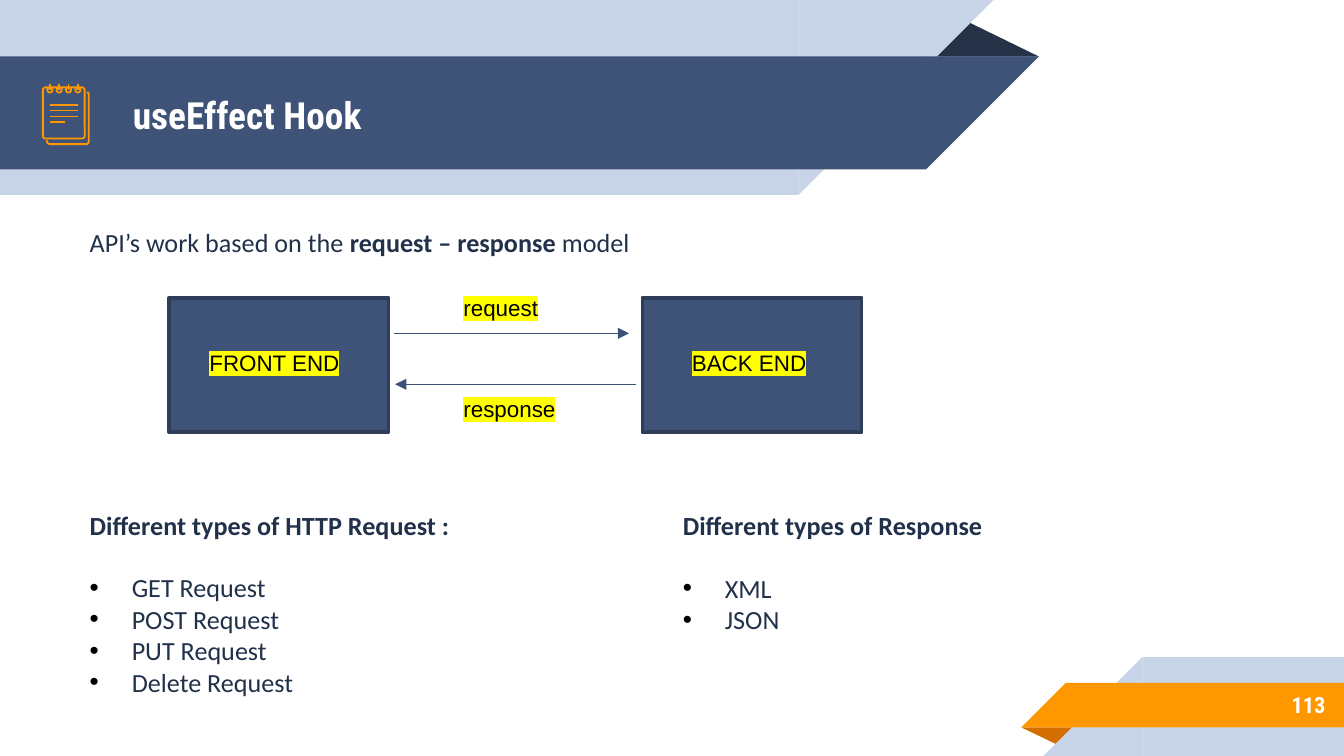
from lxml.etree import SubElement
from pptx import Presentation
from pptx.dml.color import RGBColor
from pptx.enum.shapes import MSO_CONNECTOR as Link, MSO_SHAPE as Preset
from pptx.enum.text import MSO_ANCHOR as Anchor, PP_ALIGN as Align
from pptx.oxml import parse_xml
from pptx.oxml.ns import nsdecls, qn
from pptx.util import Pt

# Content
TITLE = "useEffect Hook"
PAGE_NUMBER = "113"
INTRO = [("API’s work based on the ", False), ("request – response ", True), ("model", False)]
TYPE_LISTS = [  # left, width, heading, items
    (41, 300, "Different types of HTTP Request :",
     ["GET Request", "POST Request", "PUT Request", "Delete Request"]),
    (358.7, 300, "Different types of Response", ["XML", "JSON"]),
]
END_BOXES = [90.7, 344.2]  # left edges
LABELS = [  # text, left, top
    ("request", 241.2, 154.1), ("response", 241.2, 208.1),
    ("FRONT END", 105.1, 183.6), ("BACK END", 363.6, 183.6),
]
ARROWS = [(211, 337, 178.6), (340.6, 211.7, 205.9)]  # from x, to x, y


class Theme:
    navy, pale, dark = "3F5378", "C7D3E6", "263248"
    orange, rust = "FF9800", "D26F00"
    box_edge, arrow, ink = "2F3D59", "3C5177", "21314A"
    white, black, marker = "FFFFFF", "000000", "FFFF00"
    heading, body, label = "Roboto Condensed", "Calibri", "Arial"
    title_size, body_size, small_size = 20, 14, 12
    pitch = 16.8


TITLE_STYLE = dict(name=Theme.heading, size=Pt(Theme.title_size), bold=True, color=Theme.white)
NUMBER_STYLE = dict(TITLE_STYLE, size=Pt(Theme.small_size))
BODY_STYLE = dict(name=Theme.body, size=Pt(Theme.body_size), bold=False, color=Theme.ink)
LABEL_STYLE = dict(name=Theme.label, size=Pt(Theme.small_size), color=Theme.black)

deck = Presentation()
deck.slide_width, deck.slide_height = Pt(720), Pt(405)
slide = deck.slides.add_slide(deck.slide_layouts[6])
shapes = slide.shapes


def rgb(value):
    return RGBColor.from_string(value)


def paint(shape, fill=None, line=None, width=1.0):
    shape.shadow.inherit = False
    if fill:
        shape.fill.solid()
        shape.fill.fore_color.rgb = rgb(fill)
    else:
        shape.fill.background()
    if line:
        shape.line.color.rgb = rgb(line)
        shape.line.width = Pt(width)
    else:
        shape.line.fill.background()


def draw(preset, box, fill=None, line=None, width=1.0, turn=0, flip=False, adjust=None):
    shape = shapes.add_shape(preset, *map(Pt, box))
    paint(shape, fill, line, width)
    shape.rotation = turn
    if flip:
        shape._element.spPr.find(qn("a:xfrm")).set("flipH", "1")
    if adjust is not None:
        shape.adjustments[0] = adjust
    return shape


def stroke(start, end, color, width, arrow=False):
    line = shapes.add_connector(Link.STRAIGHT, *map(Pt, start + end))
    line.line.color.rgb = rgb(color)
    line.line.width = Pt(width)
    if arrow:
        SubElement(line.line._get_or_add_ln(), qn("a:tailEnd"), type="triangle")
    SubElement(line._element.spPr, qn("a:effectLst"))


def text_frame(box, inset=(7.2, 3.6), anchor=Anchor.TOP):
    frame = shapes.add_textbox(*map(Pt, box)).text_frame
    across, down = map(Pt, inset)
    settings = dict(word_wrap=True, vertical_anchor=anchor, margin_left=across,
                    margin_right=across, margin_top=down, margin_bottom=down)
    for key, value in settings.items():
        setattr(frame, key, value)
    return frame


def write(paragraph, words, style):
    run = paragraph.add_run()
    run.text = words
    for key, value in style.items():
        if key == "color":
            run.font.color.rgb = rgb(value)
        else:
            setattr(run.font, key, value)
    return run


def mark(run):
    highlight = parse_xml(f'<a:highlight {nsdecls("a")}><a:srgbClr val="{Theme.marker}"/></a:highlight>')
    run.font._element.find(qn("a:solidFill")).addnext(highlight)


def bullet(paragraph, indent=22.5):
    props = paragraph._p.get_or_add_pPr()
    props.set("marL", str(Pt(indent)))
    props.set("indent", str(-Pt(indent)))
    color = SubElement(props, qn("a:buClr"))
    SubElement(color, qn("a:srgbClr"), val=Theme.black)
    SubElement(props, qn("a:buFont"), typeface="Arial")
    SubElement(props, qn("a:buChar"), char="•")


# Header ribbon: each band ends in a slope on its right
draw(Preset.ISOSCELES_TRIANGLE, (495.4, 10.1, 61.2, 20.2), Theme.dark, adjust=0.324)
for top, length, height, fill in [(0, 427.7, 104.4, Theme.pale), (30.2, 496.1, 60.5, Theme.navy)]:
    for preset, left, width in [(Preset.RECTANGLE, 0, length), (Preset.RIGHT_TRIANGLE, length, height)]:
        draw(preset, (left, top, width, height), fill, turn=180, flip=True)

# Footer ribbon: each band starts with a slope on its left
draw(Preset.ISOSCELES_TRIANGLE, (547.2, 389.7, 31, 10.1), Theme.rust, turn=180, adjust=0.324)
for left, top, height, fill in [(612, 352.1, 52.9, Theme.pale), (571, 365.8, 23.9, Theme.orange)]:
    draw(Preset.RECTANGLE, (left, top, 720 - left, height), fill, flip=True)
    draw(Preset.RIGHT_TRIANGLE, (left - height, top, height, height), fill, flip=True)

# Title and page number
for words, box, style, align in [
    (TITLE, (64.1, 31, 414, 60.5), TITLE_STYLE, Align.LEFT),
    (PAGE_NUMBER, (599.8, 365, 117.4, 25.2), NUMBER_STYLE, Align.RIGHT),
]:
    line = text_frame(box, (7.2, 7.2), Anchor.MIDDLE).paragraphs[0]
    line.alignment = align
    write(line, words, style)

# Notepad icon: back page, front page, ruled lines, rings with pins
back = shapes.build_freeform(Pt(25), Pt(75), scale=1.0)
back.add_line_segments(
    [(Pt(x), Pt(y)) for x, y in [(25.2, 76.3), (26.4, 77.2), (46.6, 77.2), (47.6, 76.2),
                                 (47.6, 50.4), (47.2, 49.6), (46.5, 49.4)]], close=False)
paint(back.convert_to_shape(), line=Theme.orange, width=0.96)
draw(Preset.ROUNDED_RECTANGLE, (23, 46.8, 22.4, 27.4), line=Theme.orange, width=0.96, adjust=0.06)
for row, end in enumerate([41.8, 41.8, 41.8, 34.6]):
    y = 56.1 + 3.15 * row
    stroke((26.6, y), (end, y), Theme.orange, 0.96)
for ring in range(4):
    x = 26.7 + 5 * ring
    draw(Preset.OVAL, (x - 1.4, 46.8, 2.8, 2.8), line=Theme.orange, width=0.96)
    stroke((x, 45.2), (x, 48.2), Theme.orange, 0.96)

# Introduction
intro = text_frame((41, 117.6, 400, 24)).paragraphs[0]
intro.line_spacing = Pt(Theme.pitch)
for words, bold in INTRO:
    write(intro, words, dict(BODY_STYLE, bold=bold))

# Type lists
for left, width, heading, items in TYPE_LISTS:
    frame = text_frame((left, 269.2, width, 7.2 + Theme.pitch * (len(items) + 2)))
    head = frame.paragraphs[0]
    head.line_spacing = Pt(Theme.pitch)
    write(head, heading, dict(BODY_STYLE, bold=True))
    for place, item in enumerate(items):
        entry = frame.add_paragraph()
        entry.line_spacing = Pt(Theme.pitch)
        entry.space_before = Pt(0 if place else Theme.pitch)
        bullet(entry)
        write(entry, item, BODY_STYLE)

# Request and response diagram
for left in END_BOXES:
    draw(Preset.RECTANGLE, (left, 159.6, 117.4, 72), Theme.navy, Theme.box_edge, 2)
for start, end, y in ARROWS:
    stroke((start, y), (end, y), Theme.arrow, 0.75, arrow=True)
for words, left, top in LABELS:
    mark(write(text_frame((left, top, 103, 21.6)).paragraphs[0], words, LABEL_STYLE))

deck.save("out.pptx")
